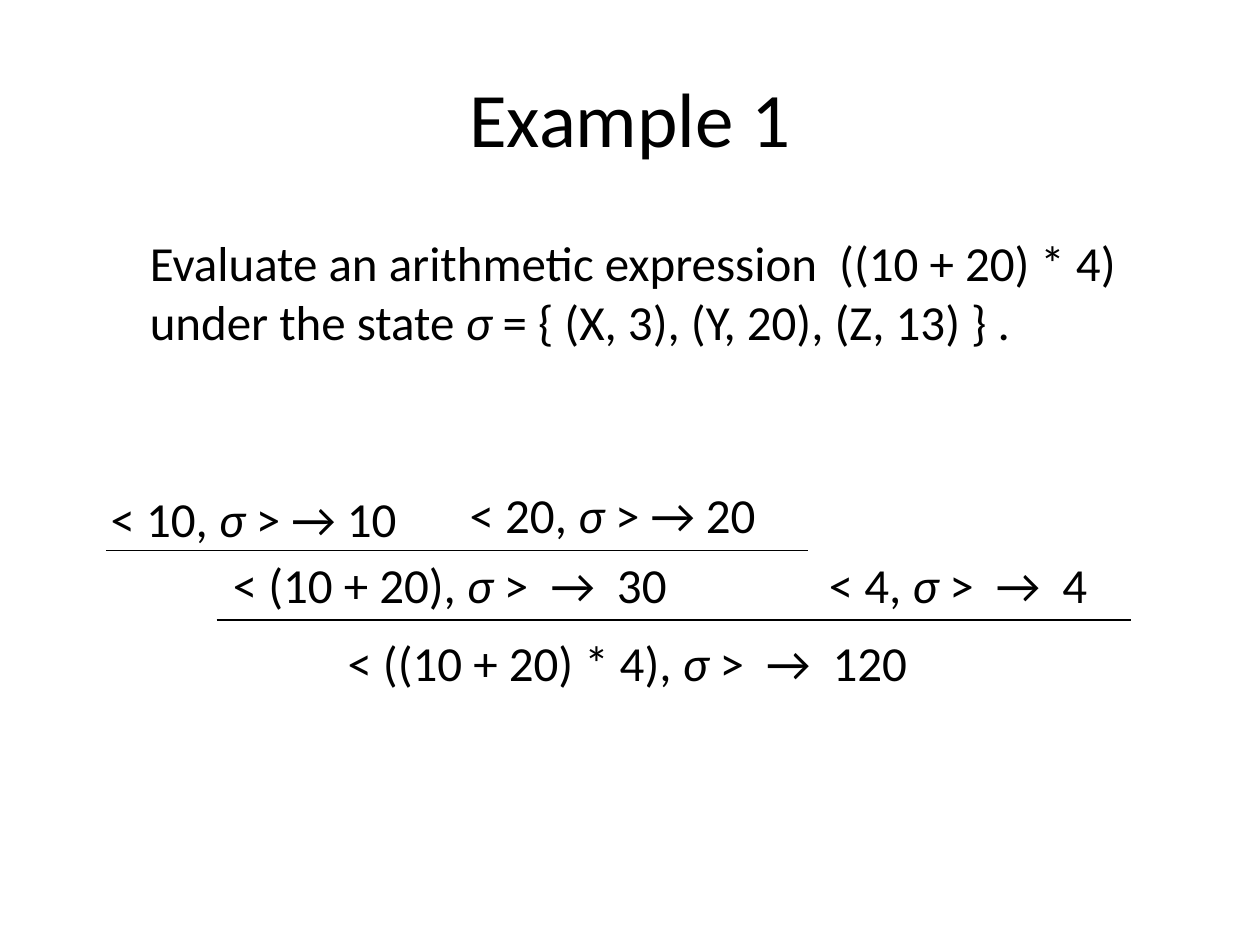
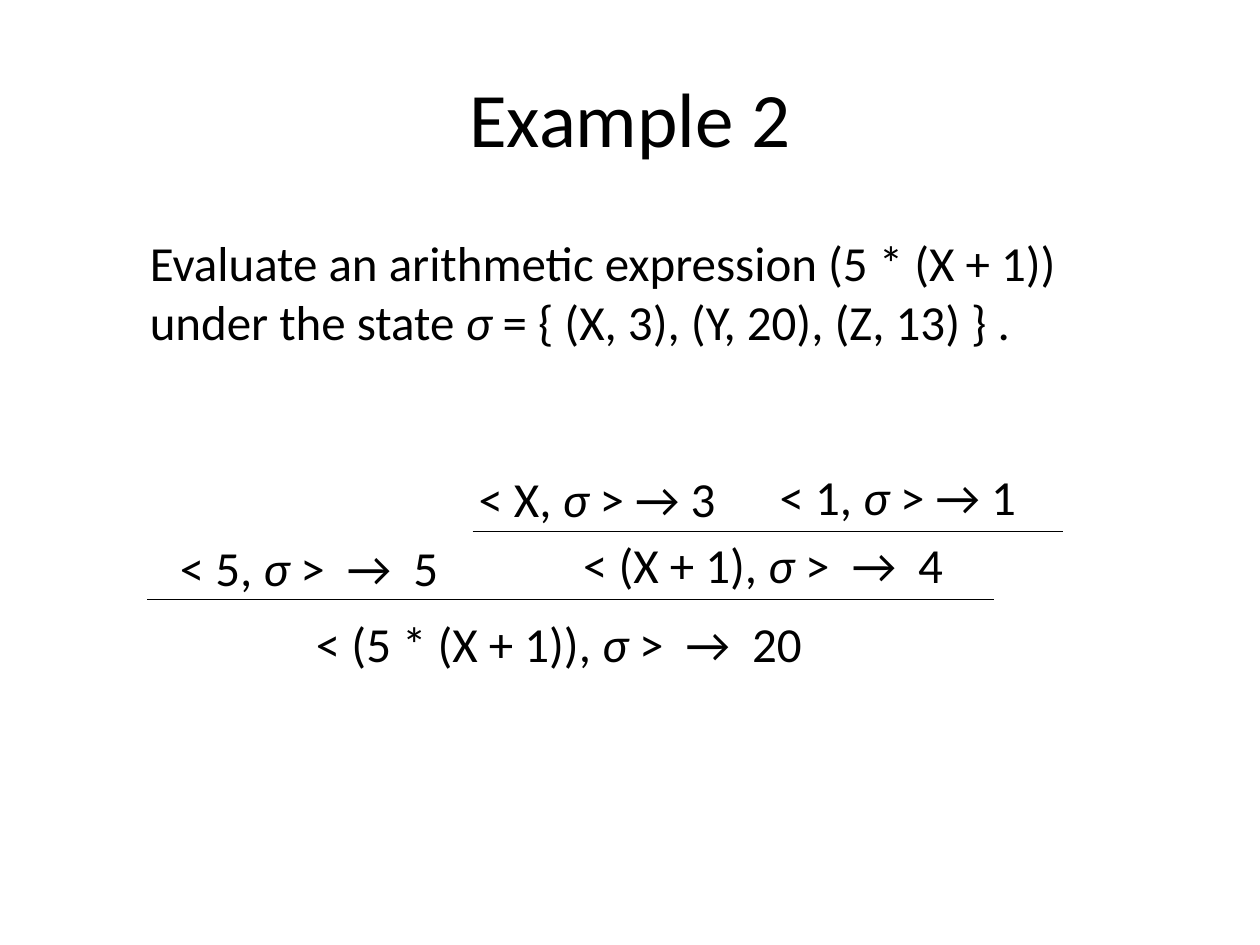
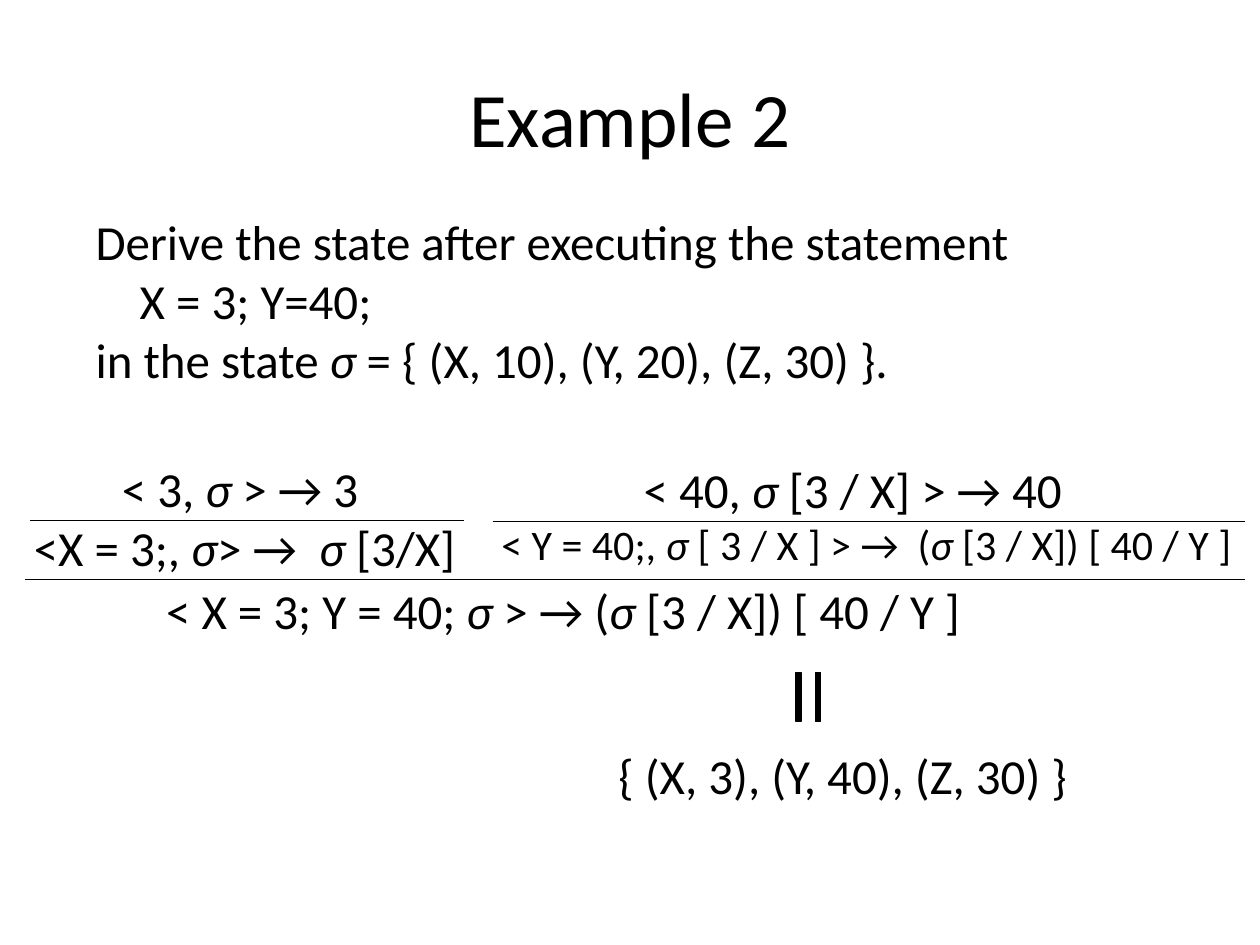
from dataclasses import dataclass

from lxml import etree
from pptx import Presentation
from pptx.dml.color import RGBColor
from pptx.enum.shapes import MSO_CONNECTOR, MSO_SHAPE
from pptx.enum.text import MSO_ANCHOR, MSO_AUTO_SIZE, PP_ALIGN
from pptx.oxml.ns import qn
from pptx.slide import Slide
from pptx.text.text import _Paragraph as Paragraph
from pptx.util import Emu, Pt

STRAIGHT = MSO_CONNECTOR.STRAIGHT
EQUAL_SIGN = MSO_SHAPE.MATH_EQUAL
MIDDLE = MSO_ANCHOR.MIDDLE
FIT_SHAPE = MSO_AUTO_SIZE.SHAPE_TO_FIT_TEXT
CENTER = PP_ALIGN.CENTER

PX = 9144  # 100 px to the inch
TITLE_ONLY = 5
STATE_SYMBOL = "σ"


@dataclass(frozen=True)
class Theme:
    font: str = "Calibri"
    ink: RGBColor = RGBColor(0, 0, 0)
    title_size: int = 44
    text_size: int = 28
    small_size: int = 24
    rule_width: float = 0.75


THEME = Theme()


@dataclass(frozen=True)
class Line:
    text: str
    size: int = THEME.text_size
    indent: int = 0


@dataclass(frozen=True)
class TextBlock:
    left: int
    top: int
    width: int
    height: int
    lines: tuple[Line, ...]
    wrap: bool = True


@dataclass(frozen=True)
class InferenceRule:
    left: int
    right: int
    y: int


@dataclass(frozen=True)
class EqualSign:
    left: int
    top: int
    width: int
    height: int


@dataclass(frozen=True)
class Example:
    title: str
    blocks: tuple[TextBlock, ...]
    rules: tuple[InferenceRule, ...]
    equal_sign: EqualSign | None = None


def px(length: int) -> Emu:
    return Emu(length * PX)


def judgment(left: int, top: int, width: int, text: str) -> TextBlock:
    """One unwrapped line of a derivation."""
    return TextBlock(left, top, width, 57, (Line(text),), wrap=False)


def task(width: int, expression: str) -> TextBlock:
    text = (f"Evaluate an arithmetic expression {expression} "
            "under the state σ = { (X, 3), (Y, 20), (Z, 13) } .")
    return TextBlock(109, 180, width, 104, (Line(text),))


EXAMPLES = (
    Example(
        "Example 1",
        (
            task(812, " ((10 + 20) * 4)"),
            judgment(266, 497, 499, "< ((10 + 20) * 4), σ >  →  120"),
            judgment(175, 435, 389, "< (10 + 20), σ >  →  30"),
            judgment(648, 435, 252, "< 4, σ >  →  4"),
            judgment(78, 383, 256, "< 10, σ > → 10"),
            judgment(363, 380, 256, "< 20, σ > → 20"),
        ),
        (InferenceRule(172, 898, 492), InferenceRule(84, 641, 437)),
    ),
    Example(
        "Example 2",
        (
            task(781, "(5 * (X + 1))"),
            judgment(241, 482, 426, "< (5 * (X + 1)), σ >  →  20"),
            judgment(133, 422, 234, "< 5, σ >  →  5"),
            judgment(370, 367, 217, "< X, σ > → 3"),
            judgment(609, 365, 216, "< 1, σ > → 1"),
            judgment(453, 419, 316, "< (X + 1), σ >  →  4"),
        ),
        (InferenceRule(117, 789, 476), InferenceRule(375, 844, 422)),
    ),
    Example(
        "Example 2",
        (
            TextBlock(388, 360, 612, 98, (
                Line("< 40, σ [3 / X] > → 40", indent=113),
                Line("< Y = 40;, σ [ 3 / X ] > →  (σ [3 / X]) [ 40 / Y ]", THEME.small_size),
            )),
            TextBlock(66, 163, 865, 151, (
                Line("Derive the state after executing the statement"),
                Line("X = 3; Y=40;", indent=35),
                Line("in the state σ = { (X, 10), (Y, 20), (Z, 30) }."),
            )),
            TextBlock(481, 587, 436, 57, (Line("{ (X, 3), (Y, 40), (Z, 30) }"),)),
            TextBlock(17, 359, 367, 104, (
                Line("< 3, σ > → 3", indent=70),
                Line("<X = 3;, σ> →  σ [3/X]"),
            )),
            TextBlock(122, 456, 683, 57, (
                Line("< X = 3; Y = 40; σ > → (σ [3 / X]) [ 40 / Y ]"),
            )),
        ),
        (
            InferenceRule(391, 988, 414),
            InferenceRule(24, 368, 413),
            InferenceRule(20, 988, 460),
        ),
        EqualSign(615, 533, 53, 40),
    ),
)


def style_paragraph(para: Paragraph, size: int) -> None:
    para.font.name = THEME.font
    para.font.size = Pt(size)
    para.font.color.rgb = THEME.ink


def write_line(para: Paragraph, line: Line) -> None:
    """Write a line with every state symbol in italics."""
    if line.indent:
        para._p.get_or_add_pPr().set("marL", str(px(line.indent)))
    style_paragraph(para, line.size)
    for position, part in enumerate(line.text.split(STATE_SYMBOL)):
        if position:
            symbol = para.add_run()
            symbol.text = STATE_SYMBOL
            symbol.font.italic = True
        if part:
            para.add_run().text = part


def add_title(page: Slide, text: str) -> None:
    title = page.shapes.title
    title.left, title.top, title.width, title.height = map(px, (50, 30, 900, 125))
    title.text_frame.vertical_anchor = MIDDLE
    title.text_frame.text = text
    para = title.text_frame.paragraphs[0]
    para.alignment = CENTER
    style_paragraph(para, THEME.title_size)


def add_block(page: Slide, block: TextBlock) -> None:
    box = page.shapes.add_textbox(
        px(block.left), px(block.top), px(block.width), px(block.height))
    frame = box.text_frame
    frame.word_wrap = block.wrap
    frame.auto_size = FIT_SHAPE
    for index, line in enumerate(block.lines):
        para = frame.add_paragraph() if index else frame.paragraphs[0]
        write_line(para, line)


def add_rule(page: Slide, rule: InferenceRule) -> None:
    connector = page.shapes.add_connector(
        STRAIGHT, px(rule.left), px(rule.y), px(rule.right), px(rule.y))
    connector.line.color.rgb = THEME.ink
    connector.line.width = Pt(THEME.rule_width)
    etree.SubElement(connector._element.spPr, qn("a:effectLst"))


def add_equal_sign(page: Slide, sign: EqualSign) -> None:
    shape = page.shapes.add_shape(
        EQUAL_SIGN, px(sign.left), px(sign.top), px(sign.width), px(sign.height))
    shape.rotation = 270
    shape.adjustments[0] = 0.1
    shape.adjustments[1] = 0.28
    shape.shadow.inherit = False
    shape.fill.solid()
    shape.fill.fore_color.rgb = THEME.ink
    shape.line.color.rgb = THEME.ink
    shape.line.width = Pt(THEME.rule_width)


def main() -> None:
    deck = Presentation()
    deck.slide_width, deck.slide_height = px(1000), px(750)
    for example in EXAMPLES:
        page = deck.slides.add_slide(deck.slide_layouts[TITLE_ONLY])
        add_title(page, example.title)
        for block in example.blocks:
            add_block(page, block)
        for rule in example.rules:
            add_rule(page, rule)
        if example.equal_sign:
            add_equal_sign(page, example.equal_sign)
    deck.save("out.pptx")


if __name__ == "__main__":
    main()
